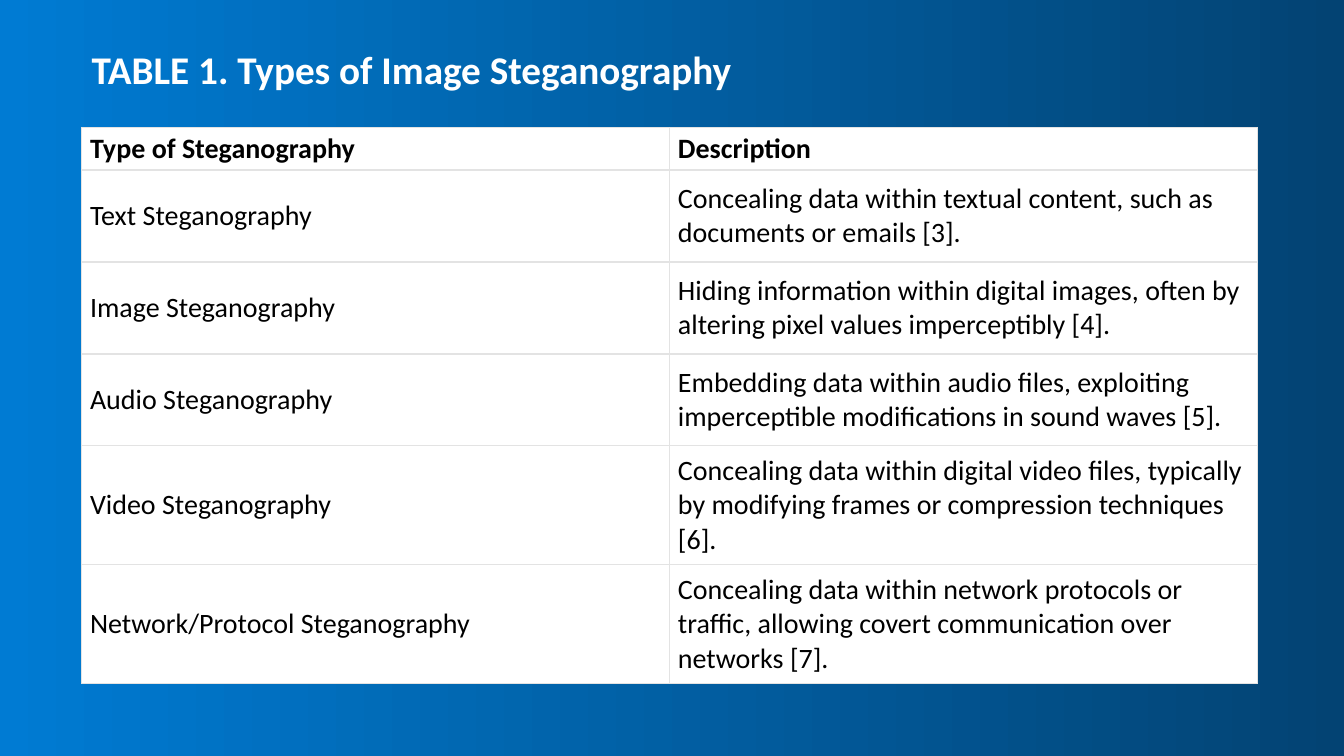
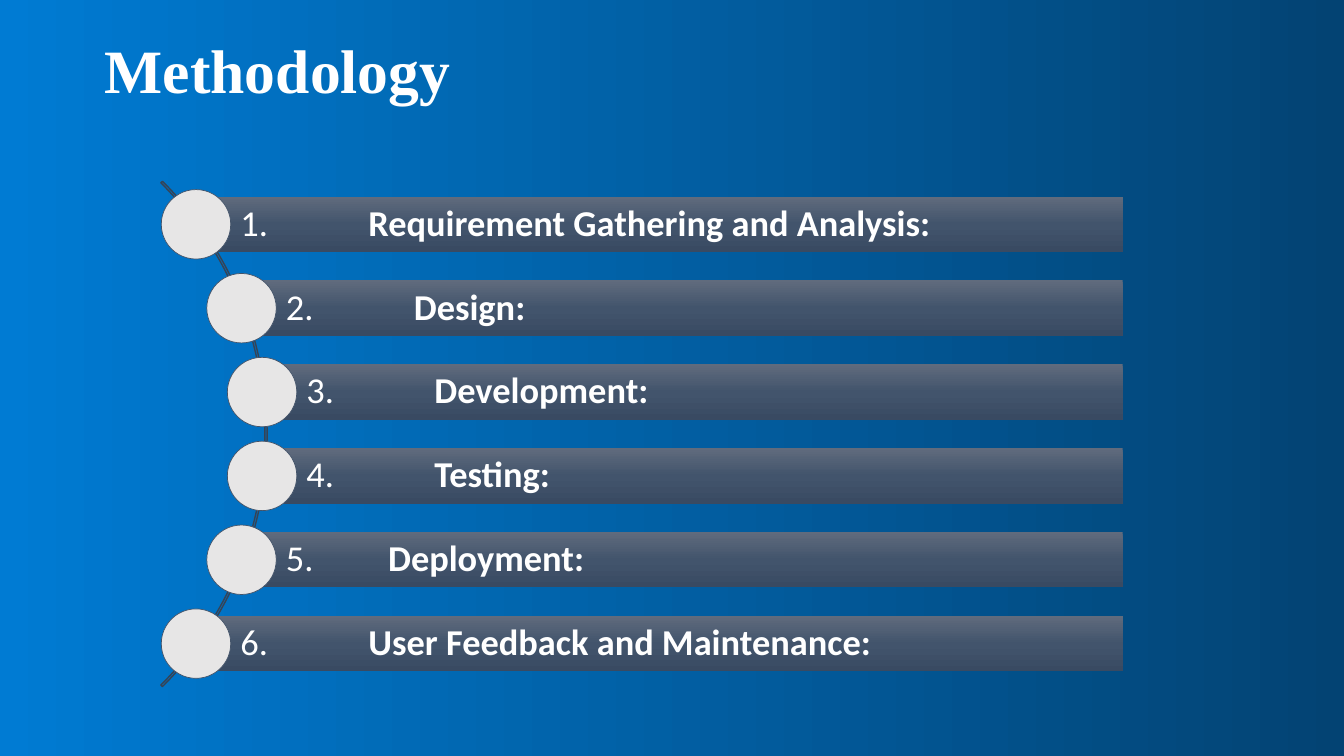
from copy import deepcopy
from math import sqrt

from lxml.etree import SubElement
from pptx import Presentation
from pptx.dml.color import RGBColor
from pptx.enum.shapes import MSO_SHAPE
from pptx.enum.text import MSO_ANCHOR, MSO_AUTO_SIZE, PP_ALIGN
from pptx.oxml.ns import qn
from pptx.util import Pt

WHITE, BLACK, BORDER = "FFFFFF", "000000", "E3E3E3"
BAR_STOPS = [("606B7D", 0), ("42546C", 0.5), ("394A62", 1)]
color = RGBColor.from_string


def style_font(font, name, size, hex_color, bold):
    font.name, font.size, font.bold = name, Pt(size), bold
    font.color.rgb = color(hex_color)


def add_page(title, left, top, width, height, font_name, size):
    page = deck.slides.add_slide(deck.slide_layouts[5])
    box = page.shapes.title
    box.left, box.top, box.width, box.height = Pt(left), Pt(top), Pt(width), Pt(height)
    frame = box.text_frame
    frame.text = title
    frame.auto_size = MSO_AUTO_SIZE.NONE
    frame.vertical_anchor = MSO_ANCHOR.MIDDLE
    para = frame.paragraphs[0]
    para.alignment, para.line_spacing = PP_ALIGN.LEFT, 0.9
    style_font(para.runs[0].font, font_name, size, WHITE, True)
    return page


deck = Presentation()
deck.slide_width, deck.slide_height = Pt(960), Pt(540)

# Shared background
background = deck.slide_master.background.fill
background.gradient()
background.gradient_angle = 0
for stop, (hex_color, position) in zip(background.gradient_stops, [("007BD3", 0), ("034373", 1)]):
    stop.color.rgb, stop.position = color(hex_color), position

# Slide 1: table of steganography types
page = add_page("TABLE 1. Types of Image Steganography", 58.3, 31, 483, 41, "Calibri", 28)
rows = [
    (30, "Type of Steganography", "Description"),
    (65.7, "Text Steganography",
     "Concealing data within textual content, such as documents or emails [3]."),
    (65.7, "Image Steganography",
     "Hiding information within digital images, often by altering pixel values imperceptibly [4]."),
    (65.7, "Audio Steganography",
     "Embedding data within audio files, exploiting imperceptible modifications in sound waves [5]."),
    (85, "Video Steganography",
     "Concealing data within digital video files, typically by modifying frames "
     "or compression techniques [6]."),
    (85, "Network/Protocol Steganography",
     "Concealing data within network protocols or traffic, allowing covert "
     "communication over networks [7]."),
]
table = page.shapes.add_table(len(rows), 2, Pt(58.3), Pt(91), Pt(840), Pt(397)).table
table.first_row = table.horz_banding = False
for row_index, (height, *texts) in enumerate(rows):
    table.rows[row_index].height = Pt(height)
    is_header = row_index == 0
    for column_index, text in enumerate(texts):
        cell = table.cell(row_index, column_index)
        cell.text = text
        cell.vertical_anchor = MSO_ANCHOR.BOTTOM if is_header else MSO_ANCHOR.MIDDLE
        cell.margin_left = cell.margin_right = Pt(6)
        cell.margin_top = cell.margin_bottom = Pt(3)
        style_font(cell.text_frame.paragraphs[0].runs[0].font, "Calibri", 20, BLACK, is_header)
        # Borders come before the fill in the cell properties
        properties = cell._tc.get_or_add_tcPr()
        for side in ("L", "R", "T", "B"):
            border = SubElement(properties, qn(f"a:ln{side}"), w=str(Pt(0.75 if side in "LR" else 1)))
            solid = SubElement(border, qn("a:solidFill"))
            SubElement(solid, qn("a:srgbClr"), val=BORDER)
        cell.fill.solid()
        cell.fill.fore_color.rgb = color(WHITE)

# Slide 2: steps along an arc
page = add_page("Methodology", 67.7, 0, 828, 104.4, "Times New Roman", 44)
center_x, center_y, arc_radius, step_radius = -64.4, 310, 255.2, 253.4
pitch, bar_height, bar_right, circle_size = 59.9, 39.6, 802, 49.6

arc = page.shapes.add_shape(MSO_SHAPE.BLOCK_ARC, Pt(center_x - arc_radius), Pt(center_y - arc_radius),
                            Pt(2 * arc_radius), Pt(2 * arc_radius))
for index, value in enumerate((189, 27, 0.003)):
    arc.adjustments[index] = value
arc.shadow.inherit = False
arc.fill.background()
arc.line.color.rgb = color("364355")
arc.line.width = Pt(1)

# Each step: label and distance from its number to the label
steps = [
    ("Requirement Gathering and Analysis:", 91.4),
    ("Design:", 91.4),
    ("Development:", 91.4),
    ("Testing:", 91.4),
    ("Deployment:", 73),
    ("User Feedback and Maintenance:", 91.4),
]
for index, (label, tab_position) in enumerate(steps):
    offset = (index - (len(steps) - 1) / 2) * pitch
    step_x = center_x + sqrt(step_radius ** 2 - offset ** 2)
    step_y = center_y + offset

    # Bar with number and label
    bar = page.shapes.add_shape(MSO_SHAPE.RECTANGLE, Pt(step_x), Pt(step_y - bar_height / 2),
                                Pt(bar_right - step_x), Pt(bar_height))
    bar.shadow.inherit = False
    bar.line.fill.background()
    bar.fill.gradient()
    bar.fill.gradient_angle = 270
    stop_list = bar._element.spPr.find(".//" + qn("a:gsLst"))
    stop_list.insert(1, deepcopy(stop_list[0]))
    for stop, (hex_color, position) in zip(bar.fill.gradient_stops, BAR_STOPS):
        stop.color.rgb, stop.position = color(hex_color), position

    frame = bar.text_frame
    frame.word_wrap = True
    frame.vertical_anchor = MSO_ANCHOR.MIDDLE
    frame.margin_left = Pt(31.7)
    frame.margin_right = frame.margin_top = frame.margin_bottom = Pt(5)
    para = frame.paragraphs[0]
    para.alignment, para.line_spacing = PP_ALIGN.LEFT, 0.9
    for text, bold in ((f"{index + 1}.\t", False), (label, True)):
        span = para.add_run()
        span.text = text
        style_font(span.font, "Calibri", 26, WHITE, bold)
    tabs = SubElement(para._p.get_or_add_pPr(), qn("a:tabLst"))
    SubElement(tabs, qn("a:tab"), pos=str(Pt(tab_position)), algn="l")

    # Circle on the arc
    circle = page.shapes.add_shape(MSO_SHAPE.OVAL, Pt(step_x - circle_size / 2),
                                   Pt(step_y - circle_size / 2), Pt(circle_size), Pt(circle_size))
    circle.shadow.inherit = False
    circle.fill.solid()
    circle.fill.fore_color.rgb = color("E7E6E6")
    circle.line.color.rgb = color("44546A")
    circle.line.width = Pt(0.5)

deck.save("out.pptx")
